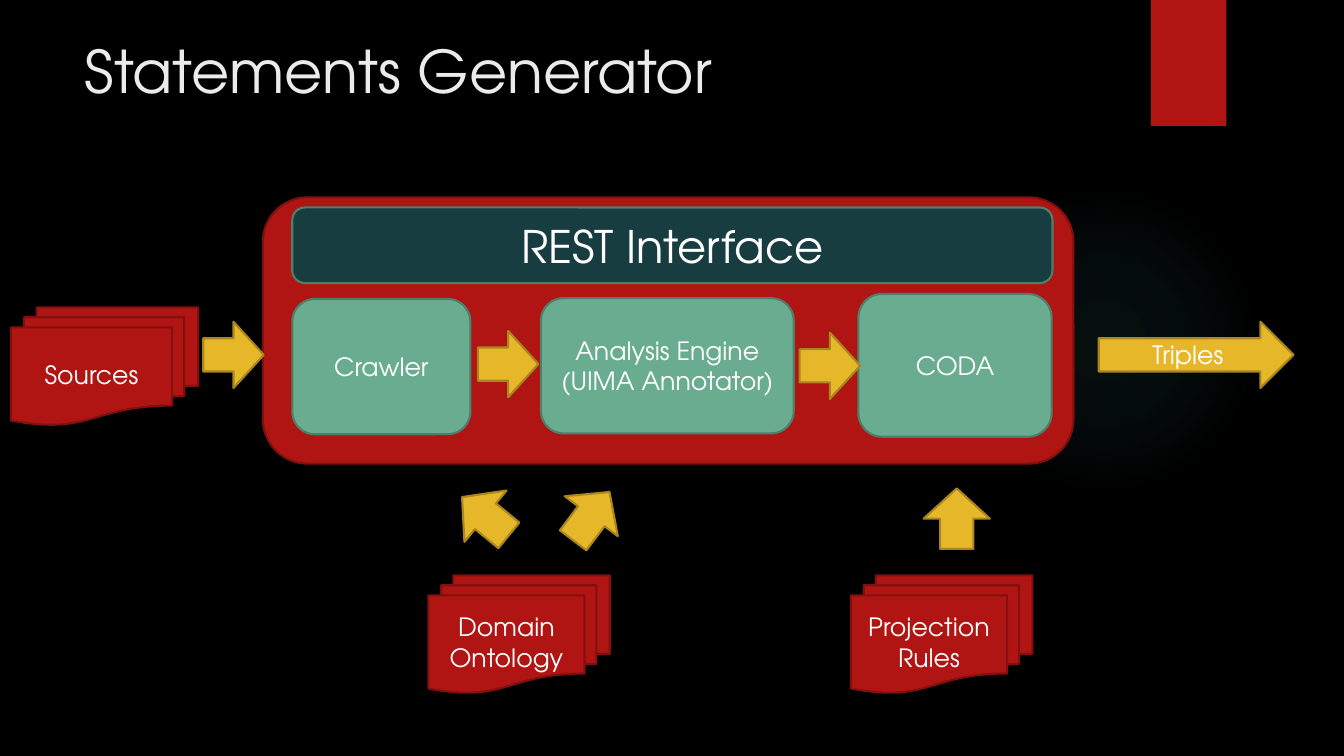
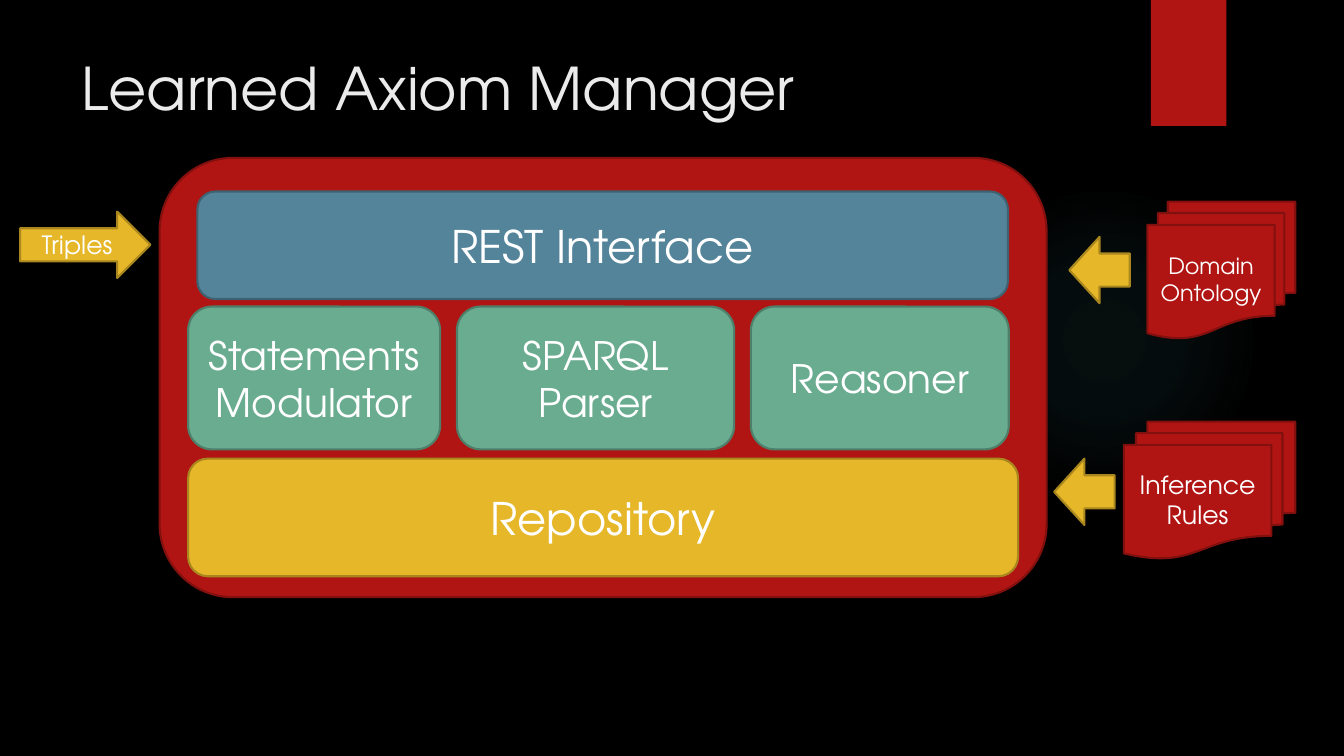
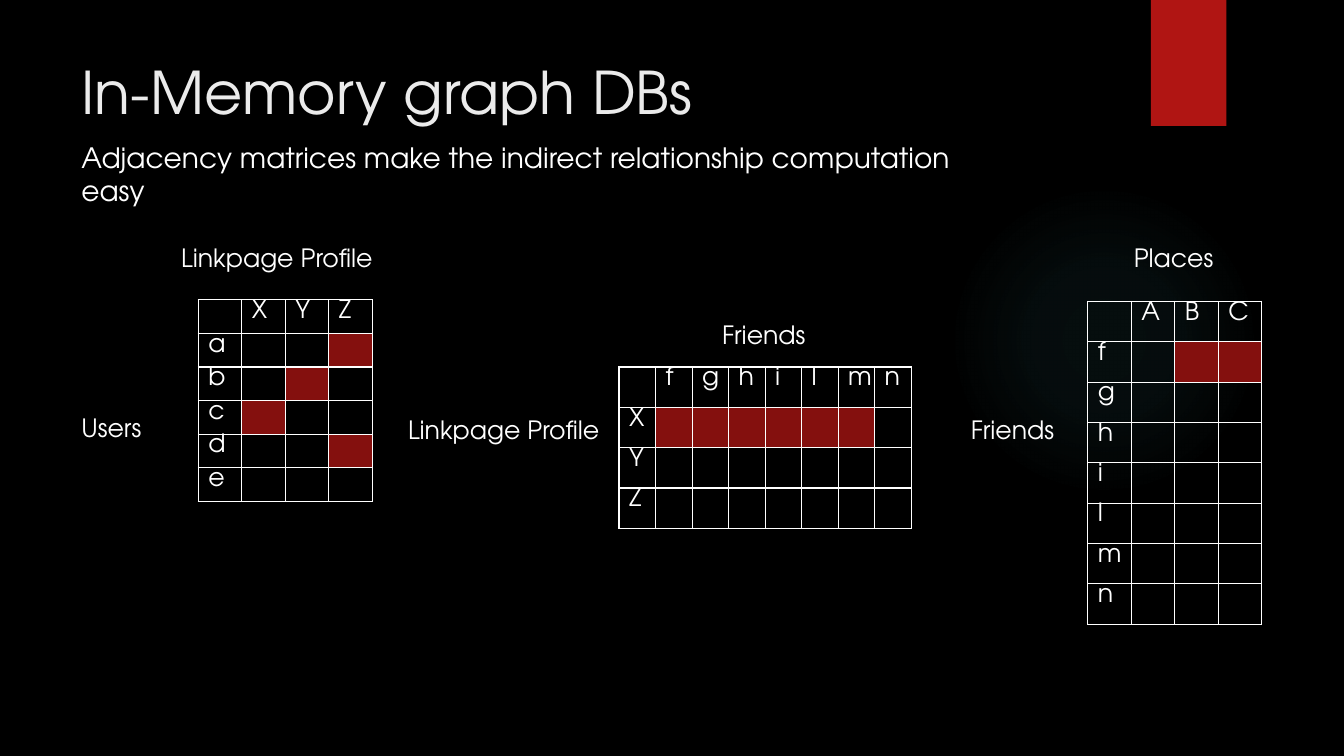
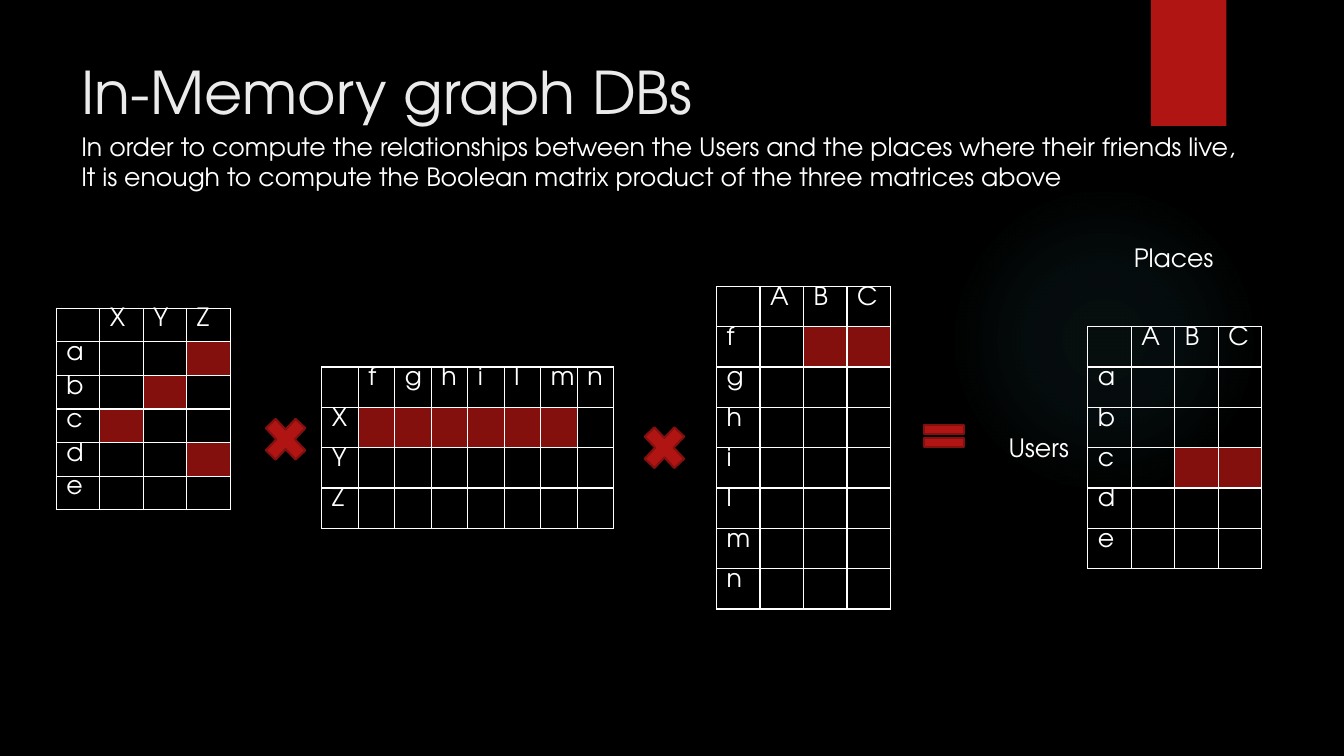
from collections import namedtuple
from dataclasses import dataclass
from itertools import accumulate

from pptx import Presentation
from pptx import util as u
from pptx.dml.color import RGBColor
from pptx.enum import shapes, text
from pptx.oxml import parse_xml
from pptx.oxml.ns import nsdecls, qn

COLUMNS, ROWS = 160, 90
UNIT = u.Inches(1) / 12
FONT = "TeX Gyre Adventor"
BLACK, WHITE, TITLE = "000000", "FFFFFF", "EBEBEB"
GLOW, MARK = "50B9C1", "84100E"
RED = ("B01513", "82100E")
GREEN = ("6AAC90", "4E7F6B")
TEAL = ("173D40", "4E7F6B")
BLUE = ("54849A", "3E6272")
YELLOW = ("E6B729", "AA871E")
KIND = shapes.MSO_SHAPE
ARROW = (7.2, 7.9)

Matrix = namedtuple("Matrix", "rows columns marks column_width row_height")
PROFILES = Matrix("abcde", "XYZ", {"aZ", "bY", "cX", "dZ"}, 5.18, 4)
FRIENDS = Matrix("XYZ", "fghilmn", {"Xf", "Xg", "Xh", "Xi", "Xl", "Xm"}, 4.35, 4.8)
PLACES = Matrix("fghilmn", "ABC", {"fB", "fC"}, 5.18, 4.8)
PRODUCT = Matrix("abcde", "ABC", {"cB", "cC"}, 5.18, 4.8)


@dataclass
class Box:
    left: float
    top: float
    width: float
    height: float

    def inner(self, left, top, width, height):
        return Box(self.left + left, self.top + top, width, height)

    def lengths(self):
        return [u.Emu(round(n * UNIT)) for n in (self.left, self.top, self.width, self.height)]


def paint(fill, colour):
    fill.solid()
    fill.fore_color.rgb = RGBColor.from_string(colour)


def write(frame, words, size, colour=WHITE, align=text.PP_ALIGN.LEFT):
    frame.text = words
    for paragraph in frame.paragraphs:
        paragraph.alignment = align
        paragraph.font.size = u.Pt(size)
        paragraph.font.name = FONT
        paragraph.font.color.rgb = RGBColor.from_string(colour)


def add_block(slide, box, kind, colours, words="", size=18, rotation=0):
    shape = slide.shapes.add_shape(kind, *box.lengths())
    shape.shadow.inherit = False
    shape.rotation = rotation
    fill, line = colours
    paint(shape.fill, fill)
    if line:
        paint(shape.line.fill, line)
        shape.line.width = u.Pt(1.5)
    else:
        shape.line.fill.background()
    if words:
        write(shape.text_frame, words, size, align=text.PP_ALIGN.CENTER)
    return shape


def add_panel(slide, box):
    add_block(slide, box, KIND.ROUNDED_RECTANGLE, RED)


def add_module(slide, box, words, size, colours=GREEN):
    add_block(slide, box, KIND.ROUNDED_RECTANGLE, colours, words, size)


def add_documents(slide, box, words, size=18):
    add_block(slide, box, KIND.FLOWCHART_MULTIDOCUMENT, RED, words, size)


def add_arrow(slide, box, words="", rotation=0):
    add_block(slide, box, KIND.RIGHT_ARROW, YELLOW, words, rotation=rotation)


def add_text(slide, box, words, size=18, wrap=False):
    frame = slide.shapes.add_textbox(*box.lengths()).text_frame
    frame.word_wrap = wrap
    frame.auto_size = text.MSO_AUTO_SIZE.NONE if wrap else text.MSO_AUTO_SIZE.SHAPE_TO_FIT_TEXT
    write(frame, words, size)


def format_cell(cell, words, marked):
    cell.margin_left = u.Inches(0.1)
    cell.margin_right = cell.margin_top = cell.margin_bottom = 0
    write(cell.text_frame, words, 18)
    if marked:
        paint(cell.fill, MARK)
    else:
        cell.fill.background()
    properties = cell._tc.get_or_add_tcPr()
    for index, side in enumerate("LRTB"):
        properties.insert(index, parse_xml(
            f'<a:ln{side} {nsdecls("a")} w="12700"><a:solidFill>'
            f'<a:srgbClr val="{WHITE}"/></a:solidFill></a:ln{side}>'))


def add_matrix(slide, left, top, matrix):
    rows, columns = " " + matrix.rows, " " + matrix.columns
    box = Box(left, top, len(columns) * matrix.column_width, len(rows) * matrix.row_height)
    table = slide.shapes.add_table(len(rows), len(columns), *box.lengths()).table
    table.first_row = table.horz_banding = False
    for column in table.columns:
        column.width = u.Emu(round(matrix.column_width * UNIT))
    for row in table.rows:
        row.height = u.Emu(round(matrix.row_height * UNIT))
    for i, row_name in enumerate(rows):
        for j, column_name in enumerate(columns):
            words = "" if i and j else (row_name + column_name).strip()
            format_cell(table.cell(i, j), words, row_name + column_name in matrix.marks)


def decorate_layout(layout, slide):
    paint(layout.background.fill, BLACK)
    glow = add_block(slide, Box(112.9, 22, 37, 37), KIND.OVAL, (GLOW, None))
    stops = "".join(
        f'<a:gs pos="{position}000"><a:srgbClr val="{GLOW}"><a:alpha val="{alpha}000"/></a:srgbClr></a:gs>'
        for position, alpha in ((0, 7), (36, 6), (69, 0)))
    properties = glow._element.spPr
    properties.replace(properties.find(qn("a:solidFill")), parse_xml(
        f'<a:gradFill {nsdecls("a")}><a:gsLst>{stops}</a:gsLst><a:path path="circle">'
        '<a:fillToRect l="50000" t="50000" r="50000" b="50000"/></a:path></a:gradFill>'))
    ribbon = add_block(slide, Box(137, 0, 9, 15), KIND.RECTANGLE, (RED[0], None))
    ribbon._element.spPr.find(qn("a:effectLst")).append(parse_xml(
        f'<a:outerShdw {nsdecls("a")} blurRad="38100" dist="25400" dir="5400000" rotWithShape="0">'
        f'<a:srgbClr val="{BLACK}"><a:alpha val="45000"/></a:srgbClr></a:outerShdw>'))
    for index, shape in enumerate((glow, ribbon)):
        shape._element.nvSpPr.cNvPr.set("id", str(100 + index))
        layout.shapes._spTree.insert(2 + index, shape._element)


def add_titled_slide(presentation, words, left, top):
    layout = presentation.slide_layouts[5]
    slide = presentation.slides.add_slide(layout)
    if len(presentation.slides) == 1:
        decorate_layout(layout, slide)
    title = slide.shapes.title
    title.left, title.top, title.width, title.height = Box(left, top, 123.5, 18.4).lengths()
    frame = title.text_frame
    frame.word_wrap = True
    frame.auto_size = text.MSO_AUTO_SIZE.NONE
    frame.vertical_anchor = text.MSO_ANCHOR.TOP
    write(frame, words, 42, TITLE)
    return slide


def draw_generator(slide, panel):
    add_panel(slide, panel)
    add_module(slide, panel.inner(3.5, 1.2, 90.5, 9), "REST Interface", 32, TEAL)
    add_module(slide, panel.inner(3.5, 12.1, 21.2, 16.1), "Crawler", 18)
    add_module(slide, panel.inner(33.1, 12, 30.1, 16.1), "Analysis Engine\n(UIMA Annotator)", 18)
    add_module(slide, panel.inner(70.9, 11.5, 23, 17), "CODA", 18)
    for left, top, rotation in (
            (-7.1, 14.8, 0), (25.6, 15.9, 0), (63.9, 16.1, 0),
            (22.9, 34, 219.3), (35.5, 34, 307), (79, 34.3, 270)):
        add_arrow(slide, panel.inner(left, top, *ARROW), rotation=rotation)
    add_arrow(slide, panel.inner(99.5, 14.8, 23.2, 7.9), "Triples")
    add_documents(slide, panel.inner(-30, 13.1, 22.3, 14), "Sources")
    add_documents(slide, panel.inner(19.7, 45, 21.6, 14), "Domain\nOntology")
    add_documents(slide, panel.inner(70, 45, 21.6, 14), "Projection\nRules")


def draw_manager(slide, panel):
    add_panel(slide, panel)
    add_module(slide, panel.inner(4.5, 4, 96.5, 12.8), "REST Interface", 32, BLUE)
    modules = ("Statements\nModulator", "SPARQL\nParser", "Reasoner")
    widths, gap = (30, 33, 30.7), 2
    lefts = accumulate((width + gap for width in widths), initial=3.4)
    for words, left, width in zip(modules, lefts, widths):
        add_module(slide, panel.inner(left, 17.7, width, 17), words, 28)
    add_module(slide, panel.inner(3.4, 35.8, 98.8, 14), "Repository", 32, YELLOW)
    add_arrow(slide, panel.inner(-16.6, 6.4, 15.5, 7.9), "Triples")
    add_arrow(slide, panel.inner(108.3, 9.4, *ARROW), rotation=180)
    add_arrow(slide, panel.inner(106.5, 35.8, *ARROW), rotation=180)
    add_documents(slide, panel.inner(117.6, 5.2, 17.6, 16.3), "Domain\nOntology", 16)
    add_documents(slide, panel.inner(114.8, 31.4, 20.4, 16.3), "Inference\nRules")


def draw_matrices(slide, matrices, labels):
    for left, top, matrix in matrices:
        add_matrix(slide, left, top, matrix)
    for left, top, width, words in labels:
        add_text(slide, Box(left, top, width, 4.8), words)


def draw_operators(slide):
    for left, top in ((30.6, 48.7), (75.7, 49.7)):
        add_block(slide, Box(left, top, 6.8, 7.2), KIND.MATH_MULTIPLY, RED)
    add_block(slide, Box(109.2, 49.7, 6.4, 4.4), KIND.MATH_EQUAL, RED)


def main():
    presentation = Presentation()
    presentation.slide_width = u.Emu(round(COLUMNS * UNIT))
    presentation.slide_height = u.Emu(round(ROWS * UNIT))

    slide = add_titled_slide(presentation, "Statements Generator", 8.8, 3.5)
    draw_generator(slide, Box(31.3, 23.5, 96.5, 31.7))

    slide = add_titled_slide(presentation, "Learned Axiom Manager", 8.5, 5.5)
    draw_manager(slide, Box(19, 18.8, 105.6, 52.3))

    slide = add_titled_slide(presentation, "In-Memory graph DBs", 8.5, 6)
    add_text(slide, Box(8.5, 16.1, 112.7, 9.6),
             "Adjacency matrices make the indirect relationship computation easy", 20, wrap=True)
    draw_matrices(
        slide,
        ((23.6, 35.7, PROFILES), (73.7, 43.7, FRIENDS), (129.5, 35.9, PLACES)),
        ((8.5, 48.5, 9.6, "Users"), (20.4, 28.3, 27.1, "Linkpage Profile"),
         (84.8, 37.4, 12.5, "Friends"), (47.4, 48.7, 27.1, "Linkpage Profile"),
         (114.4, 48.7, 12.5, "Friends"), (133.8, 28.3, 12, "Places")))

    slide = add_titled_slide(presentation, "In-Memory graph DBs", 8.5, 6)
    add_text(slide, Box(8.5, 15, 142.8, 8.5),
             "In order to compute the relationships between the Users and the places where their friends live,\n"
             "It is enough to compute the Boolean matrix product of the three matrices above")
    draw_matrices(
        slide,
        ((6.7, 36.7, PROFILES), (38.3, 43.7, FRIENDS), (85.3, 34.1, PLACES), (129.5, 38.9, PRODUCT)),
        ((118.9, 50.9, 9.6, "Users"), (133.8, 28.3, 12, "Places")))
    draw_operators(slide)

    presentation.save("out.pptx")


if __name__ == "__main__":
    main()
